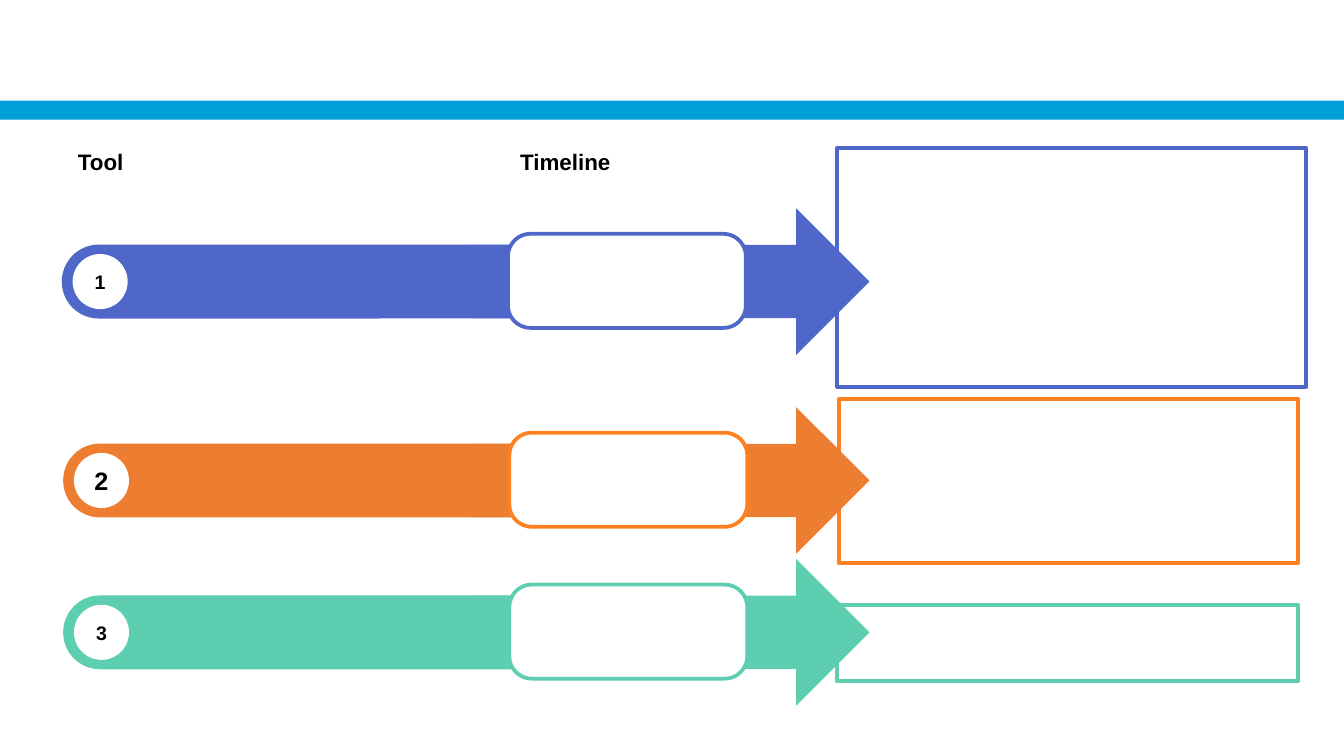
"""Build a slide of three tool arrows, each with a timeline pill and a note box."""
from pptx import Presentation
from pptx.dml.color import RGBColor
from pptx.enum.shapes import MSO_SHAPE as Kind
from pptx.enum.text import MSO_ANCHOR as Anchor, PP_ALIGN as Align
from pptx.util import Inches, Pt

HUES = {"band": "009FDA", "blue": "4E67C8", "orange": "ED7D31", "edge": "FF8021",
        "green": "5DCEAF", "white": "FFFFFF", "black": "000000"}


def put_text(shape, text, size=12, align=Align.LEFT, anchor=Anchor.BOTTOM):
    frame = shape.text_frame
    frame.word_wrap = True
    frame.vertical_anchor = anchor
    frame.margin_left = frame.margin_right = frame.margin_top = frame.margin_bottom = 0
    para = frame.paragraphs[0]
    para.text = text
    para.alignment = align
    font = para.runs[0].font
    font.name = "Arial"
    font.size = Pt(size)
    font.bold = True
    font.color.rgb = RGBColor.from_string(HUES["black"])


def add_part(kind, box, fill, line=None, round=None):
    shape = slide.shapes.add_shape(kind, *map(Inches, box))
    shape.shadow.inherit = False
    shape.fill.solid()
    shape.fill.fore_color.rgb = RGBColor.from_string(HUES[fill])
    if line:
        shape.line.color.rgb = RGBColor.from_string(HUES[line])
        shape.line.width = Pt(2)
    else:
        shape.line.fill.background()
    if round is not None:
        shape.adjustments[0] = round
    return shape


deck = Presentation()
deck.slide_width, deck.slide_height = Inches(10), Inches(10 * 9 / 16)
slide = deck.slides.add_slide(deck.slide_layouts[6])

add_part(Kind.RECTANGLE, (0, 0.75, 10, 0.14), "band")

rows = [
    ("1", 10.5, 0.46, 1.55, "blue", "blue", (6.23, 1.1, 3.49, 1.78)),
    ("3", 10.5, 0.47, 4.16, "green", "green", (6.23, 4.5, 3.43, 0.57)),
    ("2", 13.5, 0.47, 3.03, "orange", "edge", (6.24, 2.97, 3.42, 1.22)),
]
for label, size, left, top, fill, line, note in rows:
    add_part(Kind.RECTANGLE, note, "white", line)
    add_part(Kind.ROUNDED_RECTANGLE, (left, top + 0.27, 4.53, 0.55), fill, round=0.5)
    add_part(Kind.RIGHT_ARROW, (3.51, top, 2.96, 1.09), fill)
    dot = add_part(Kind.OVAL, (left + 0.08, top + 0.34, 0.41, 0.41), "white")
    put_text(dot, label, size=size, align=Align.CENTER, anchor=Anchor.MIDDLE)
    add_part(Kind.ROUNDED_RECTANGLE, (left + 3.32, top + 0.19, 1.77, 0.7),
             "white", line, round=0.24)

for head, left, width in [("Timeline", 3.87, 1.77), ("Tool", 0.58, 2.5)]:
    box = slide.shapes.add_textbox(Inches(left), Inches(1.1), Inches(width), Inches(0.2))
    put_text(box, head)

deck.save("out.pptx")
